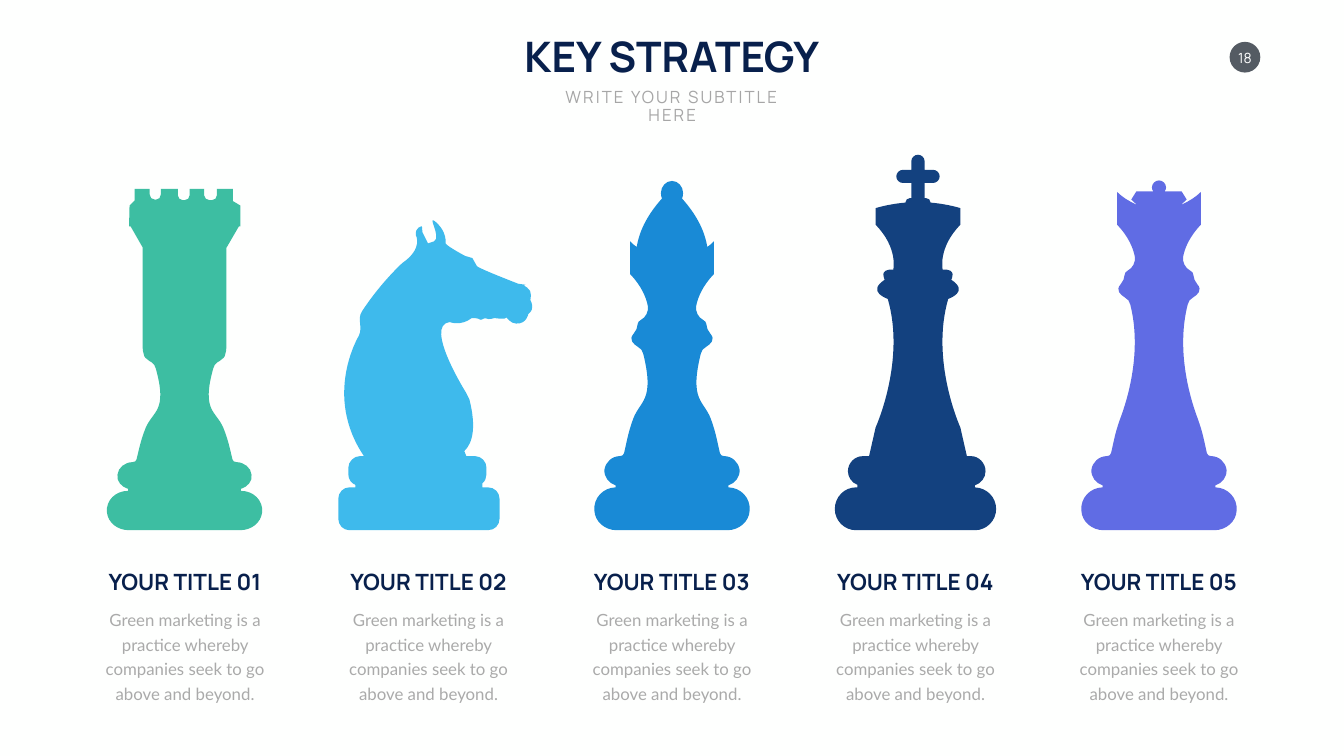
from pptx import Presentation
from pptx.dml.color import RGBColor
from pptx.enum.shapes import MSO_SHAPE
from pptx.enum.text import MSO_ANCHOR, PP_ALIGN
from pptx.oxml import parse_xml
from pptx.oxml.ns import nsdecls, qn
from pptx.util import Pt

TOP, MIDDLE, BOTTOM = MSO_ANCHOR.TOP, MSO_ANCHOR.MIDDLE, MSO_ANCHOR.BOTTOM
CENTER = PP_ALIGN.CENTER
OVAL = MSO_SHAPE.OVAL

PX = 9144  # EMU per px, 100 px to the inch
WIDTH, HEIGHT = 2666, 1500

COLORS = {
    "background": "FEFFFE", "badge": "545B63", "white": "FFFFFF",
    "heading": "08204C", "subtitle": "A6A6A6", "body": "AAAAAA",
    "rook": "3DBEA2", "knight": "3EBAEC", "bishop": "198AD6",
    "king": "13417F", "queen": "606CE4",
}

# Content
TITLE = "KEY STRATEGY"
SUBTITLE = "WRITE YOUR SUBTITLE HERE"
PAGE = "18"
BODY = "Green marketing is a practice whereby companies seek to go above and beyond."
HEADINGS = [f"YOUR TITLE {n:02d}" for n in range(1, 6)]

# Outlines, top to bottom: (x, y) is a line, six numbers are a Bezier curve.
# In half outlines x is the distance from the axis of the piece.
ROOK_RIGHT = [
    (0, 397), (1, 397), (6, 397, 10, 393, 10, 388), (10, 375), (39, 375),
    (39, 388), (39, 393, 44, 397, 49, 397), (55, 397),
    (60, 397, 64, 393, 64, 388), (64, 375), (96, 375), (96, 399),
    (111, 408), (111, 449), (108, 449), (83, 492)]
ROOK_LEFT = [
    (0, 397), (4, 397), (9, 397, 13, 393, 13, 388), (13, 375), (47, 375),
    (47, 386), (47, 392, 51, 396, 56, 396), (59, 396),
    (65, 396, 69, 392, 69, 386), (69, 375), (99, 375), (99, 398),
    (109, 408), (110, 449), (107, 449), (83, 491)]
ROOK_BODY = [
    (83, 690), (83, 695, 82, 699, 81, 702), (81, 708, 75, 713, 70, 716),
    (65, 719), (61, 722, 58, 726, 57, 731),
    (33, 817, 63, 815, 77, 849), (82, 861, 86, 874, 89, 886), (95, 911),
    (95, 915, 99, 917, 103, 917), (118, 917, 132, 928, 133, 942),
    (135, 955, 125, 966, 112, 970), (112, 974),
    (137, 974, 156, 993, 154, 1016), (152, 1037, 133, 1052, 110, 1052)]

KNIGHT = [
    (693, 967), (705, 967), (705, 962), (697, 959, 691, 951, 691, 941),
    (691, 928), (691, 916, 702, 905, 714, 905), (722, 905),
    (640, 784, 712, 666, 712, 666), (720, 649, 708, 633, 718, 618),
    (755, 561, 798, 522, 798, 522), (840, 493, 825, 467, 825, 467),
    (823, 450, 837, 449, 837, 449), (838, 461), (849, 483), (861, 479),
    (877, 470, 844, 423, 865, 441), (887, 460, 884, 483, 884, 483),
    (887, 489, 923, 508, 923, 508), (937, 512), (946, 528),
    (950, 533, 1028, 563, 1028, 563), (1042, 565),
    (1042, 565, 1035, 565, 1046, 571), (1057, 577, 1052, 595, 1052, 595),
    (1060, 611, 1054, 619, 1048, 623), (1048, 623, 1045, 643, 1024, 642),
    (1013, 642, 1005, 630, 1005, 630), (1003, 635, 981, 631, 981, 631),
    (981, 631, 969, 635, 965, 632), (961, 629, 954, 637, 952, 634),
    (950, 631, 936, 631, 936, 631), (914, 648, 892, 639, 892, 639),
    (840, 645, 925, 780, 925, 780), (931, 792),
    (945, 847, 938, 879, 921, 895), (925, 905), (942, 905),
    (955, 905, 965, 916, 965, 928), (965, 941),
    (965, 948, 962, 955, 957, 959), (957, 967), (968, 967),
    (981, 967, 991, 977, 991, 990), (991, 1029),
    (991, 1042, 981, 1052, 968, 1052), (693, 1052),
    (681, 1052, 671, 1042, 671, 1029), (671, 990),
    (671, 977, 681, 967, 693, 967)]

BISHOP_TOP = [
    (0, 359), (12, 359, 22, 370, 22, 383), (22, 387, 21, 391, 20, 394),
    (54, 432, 66, 465, 70, 490), (75, 487, 79, 483, 83, 479), (83, 544)]
QUEEN_TOP = [
    (0, 358), (7, 358, 14, 364, 14, 372), (14, 375, 13, 378, 11, 380),
    (45, 380), (55, 396), (43, 407), (47, 405),
    (60, 399, 73, 391, 83, 381), (83, 446)]
COLLAR = [  # y counts from the lower edge of the crown
    (60, 24, 51, 47, 48, 63), (46, 74, 52, 86, 62, 91),
    (66, 93, 68, 96, 68, 99), (69, 106, 71, 113, 76, 118),
    (87, 130, 76, 139, 68, 144), (62, 147, 58, 152, 57, 158)]
BISHOP_BODY = [(34, 796, 63, 794, 77, 831)]
QUEEN_BODY = [(33, 698, 63, 794, 77, 831)]
BASE = [
    (82, 845, 86, 858, 89, 872), (95, 899), (96, 903, 99, 905, 103, 905),
    (119, 905, 132, 917, 134, 932), (135, 947, 125, 959, 112, 963),
    (112, 967), (137, 968, 156, 988, 154, 1013),
    (153, 1035, 133, 1052, 110, 1052)]

KING_TOP = [
    (0, 307), (7, 307, 13, 313, 13, 319), (13, 337), (30, 337),
    (37, 337, 43, 343, 43, 350), (43, 357, 37, 363, 30, 363), (13, 363),
    (13, 393), (16, 393), (21, 393, 25, 397, 25, 402),
    (60, 405, 84, 413, 84, 413), (84, 446), (39, 492, 49, 535, 49, 535),
    (79, 533, 66, 555, 66, 555), (103, 579, 60, 593, 60, 593),
    (24, 716, 84, 848, 84, 848), (97, 905)]
KING_RIGHT = [
    (105, 905), (121, 905, 134, 919, 134, 935),
    (134, 948, 125, 959, 113, 963), (113, 967),
    (136, 968, 155, 986, 155, 1010), (155, 1033, 136, 1052, 113, 1052)]
KING_LEFT = [
    (109, 905), (126, 905, 139, 919, 139, 935),
    (139, 947, 131, 958, 120, 962), (120, 967), (123, 967),
    (146, 967, 165, 986, 165, 1010), (165, 1033, 146, 1052, 123, 1052)]


def lowered(outline, dy):
    return [tuple(v + dy * (i % 2) for i, v in enumerate(seg)) for seg in outline]


BISHOP = BISHOP_TOP + lowered(COLLAR, 544) + BISHOP_BODY + BASE
QUEEN = QUEEN_TOP + lowered(COLLAR, 446) + QUEEN_BODY + BASE

# Name, axis, right outline, left outline
PIECES = [
    ("king", 1821, KING_TOP + KING_RIGHT, KING_TOP + KING_LEFT),
    ("queen", 2299, QUEEN, QUEEN),
    ("bishop", 1333, BISHOP, BISHOP),
    ("knight", 0, KNIGHT, []),
    ("rook", 366, ROOK_RIGHT + ROOK_BODY, ROOK_LEFT + ROOK_BODY),
]


def rgb(name):
    return RGBColor.from_string(COLORS[name])


def backwards(outline):
    """The same outline, drawn from its end to its start."""
    ends = [seg[-2:] for seg in outline]
    result = ends[-1:]
    for seg, end in zip(outline[:0:-1], ends[-2::-1]):
        result.append(seg[2:4] + seg[:2] + end if len(seg) == 6 else end)
    return result


def to_emu(outline, axis, side):
    return [tuple(v * PX if i % 2 else (axis + side * v) * PX
                  for i, v in enumerate(seg)) for seg in outline]


def draw_outline(segments):
    ends = [seg[-2:] for seg in segments]
    builder = shapes.build_freeform(*ends[0], scale=1.0)
    builder.add_line_segments(ends[1:], close=True)
    sp = builder.convert_to_shape()
    # Bend the lines that have control points
    for node, seg in zip(list(sp._element.iter(qn("a:lnTo"))), segments[1:]):
        if len(seg) == 6:
            node.tag = qn("a:cubicBezTo")
            for i in (0, 1):
                x, y = seg[2 * i] - sp.left, seg[2 * i + 1] - sp.top
                node.insert(i, parse_xml(f'<a:pt {nsdecls("a")} x="{x}" y="{y}"/>'))
    return sp


def paint(sp, color):
    sp.shadow.inherit = False
    sp.fill.solid()
    sp.fill.fore_color.rgb = rgb(color)
    sp.line.fill.background()


def write(sp, box, text, font, size, color, bold=False, anchor=TOP, wrap=True, spacing=0.9):
    sp.left, sp.top, sp.width, sp.height = (v * PX for v in box)
    tf = sp.text_frame
    tf.word_wrap, tf.vertical_anchor = wrap, anchor
    p = tf.paragraphs[0]
    p.text = text
    p.alignment, p.line_spacing, p.space_before = CENTER, spacing, Pt(0)
    p.font.name, p.font.size, p.font.bold = font, Pt(size), bold
    p.font.color.rgb = rgb(color)
    return p


prs = Presentation()
prs.slide_width, prs.slide_height = WIDTH * PX, HEIGHT * PX
slide = prs.slides.add_slide(prs.slide_layouts[0])
slide.background.fill.solid()
slide.background.fill.fore_color.rgb = rgb("background")
shapes = slide.shapes


def text_box():
    return shapes.add_textbox(0, 0, PX, PX)


# Page badge
badge = shapes.add_shape(OVAL, *(v * PX for v in (2439, 83, 61, 61)))
paint(badge, "badge")
number = text_box()
write(number, (2449, 97, 41, 34), PAGE, "Manrope", 20, "white",
      anchor=MIDDLE, wrap=False, spacing=1.0)
tf = number.text_frame
tf.margin_left = tf.margin_right = tf.margin_top = tf.margin_bottom = 0

# Title and subtitle
write(shapes.title, (1016, 67, 633, 111), TITLE, "Manrope", 60, "heading", True, wrap=False)
p = write(slide.placeholders[1], (1062, 172, 543, 50), SUBTITLE, "Manrope", 24, "subtitle")
p.runs[0]._r.get_or_add_rPr().set("spc", "300")

# Chess pieces
for name, axis, right, left in PIECES:
    paint(draw_outline(to_emu(right, axis, 1) + to_emu(backwards(left), axis, -1)), name)

# Captions, one column per piece
FIRST_CENTER, PITCH, HEAD_W, BODY_W = 367, 483, 334, 398
for i, heading in enumerate(HEADINGS):
    center = FIRST_CENTER + i * PITCH
    write(text_box(), (center - HEAD_W // 2, 1122, HEAD_W, 64), heading,
          "Manrope", 32, "heading", True, BOTTOM, wrap=False)
    p = write(text_box(), (center - BODY_W // 2, 1197, BODY_W, 201), BODY,
              "Lato", 24, "body", spacing=Pt(35))
    p.space_before = Pt(5)

prs.save("out.pptx")
